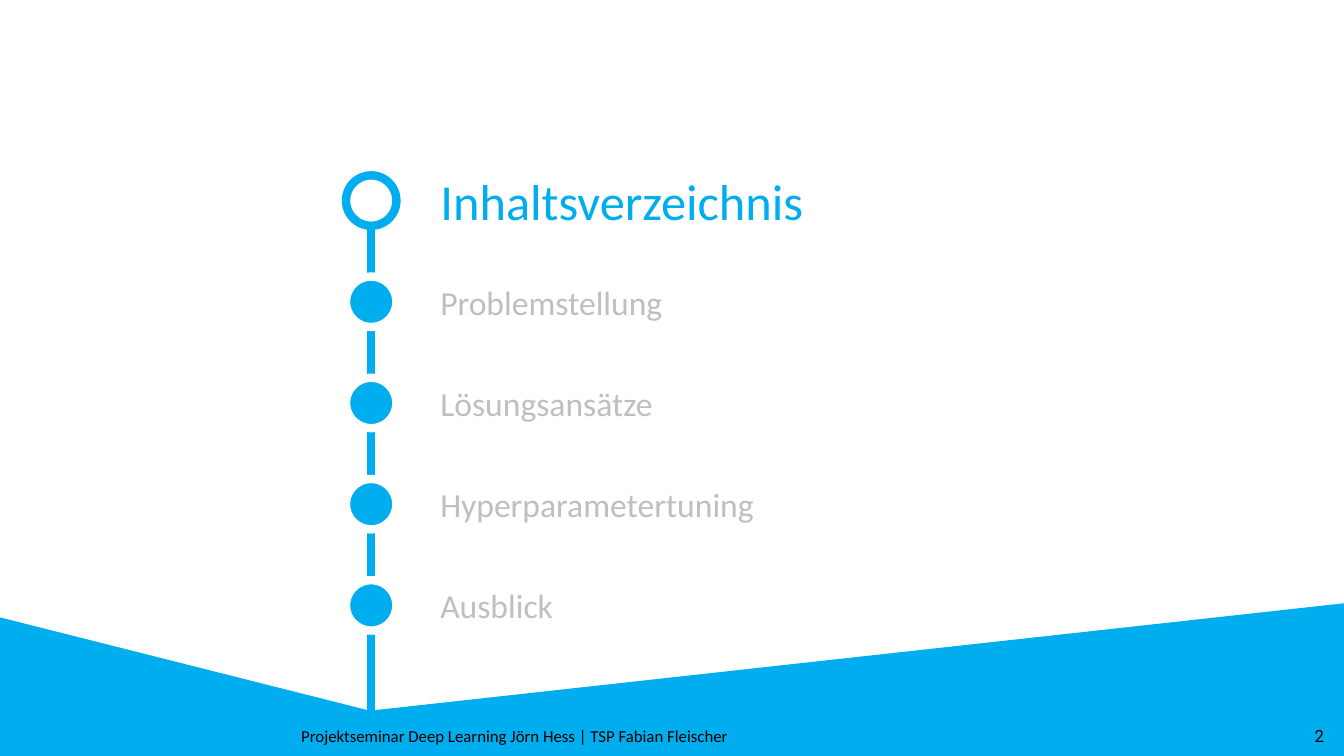
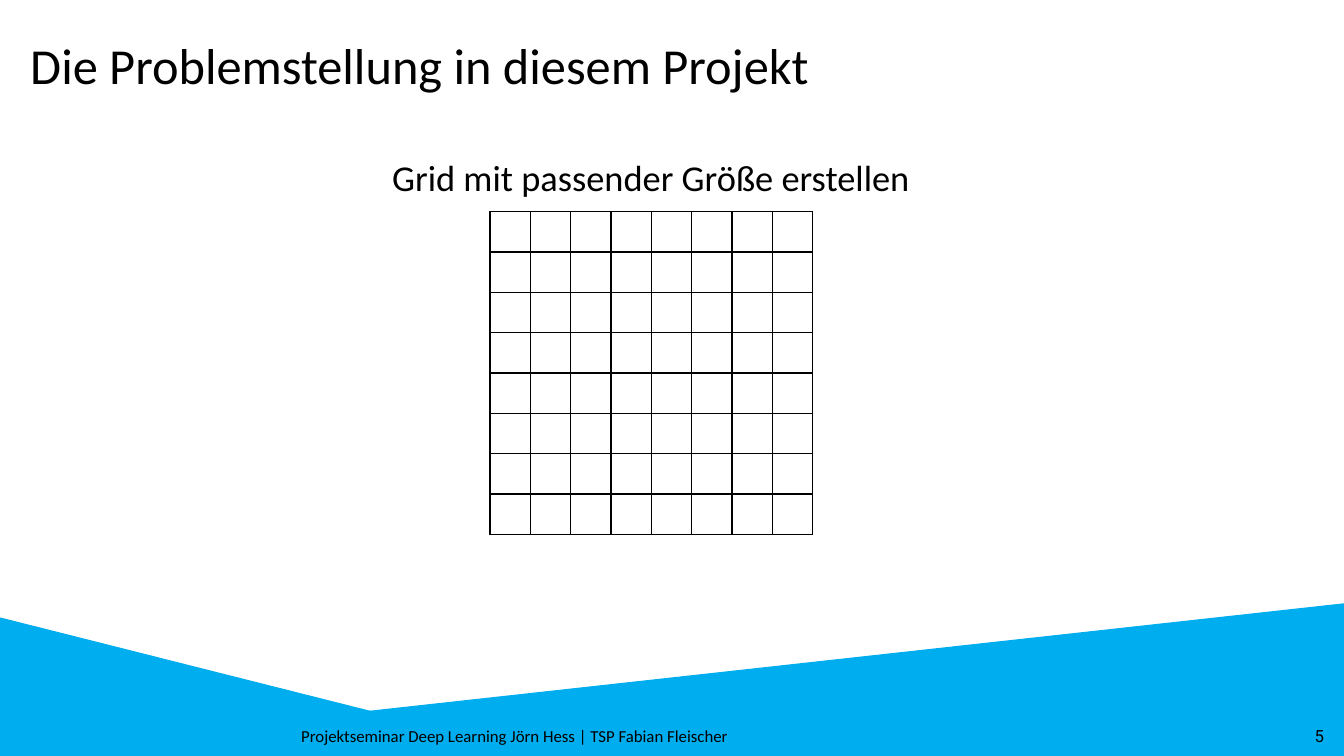
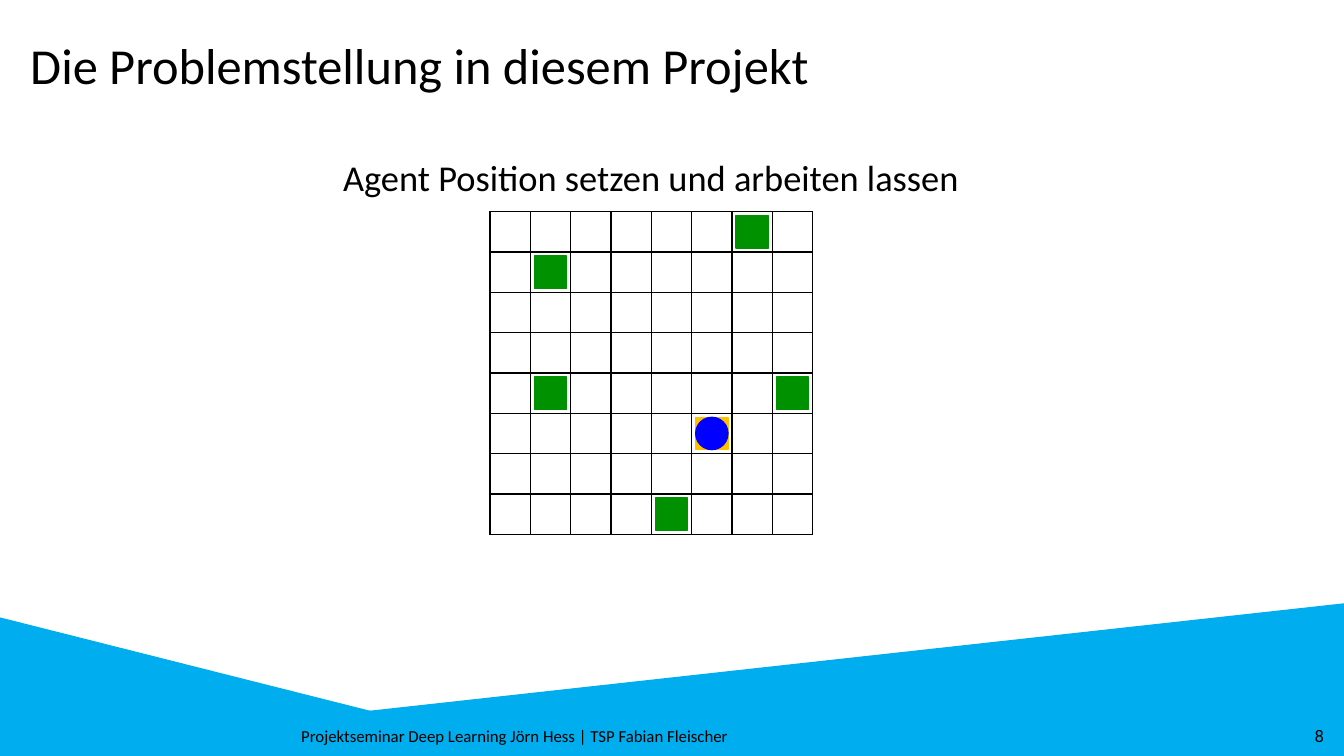
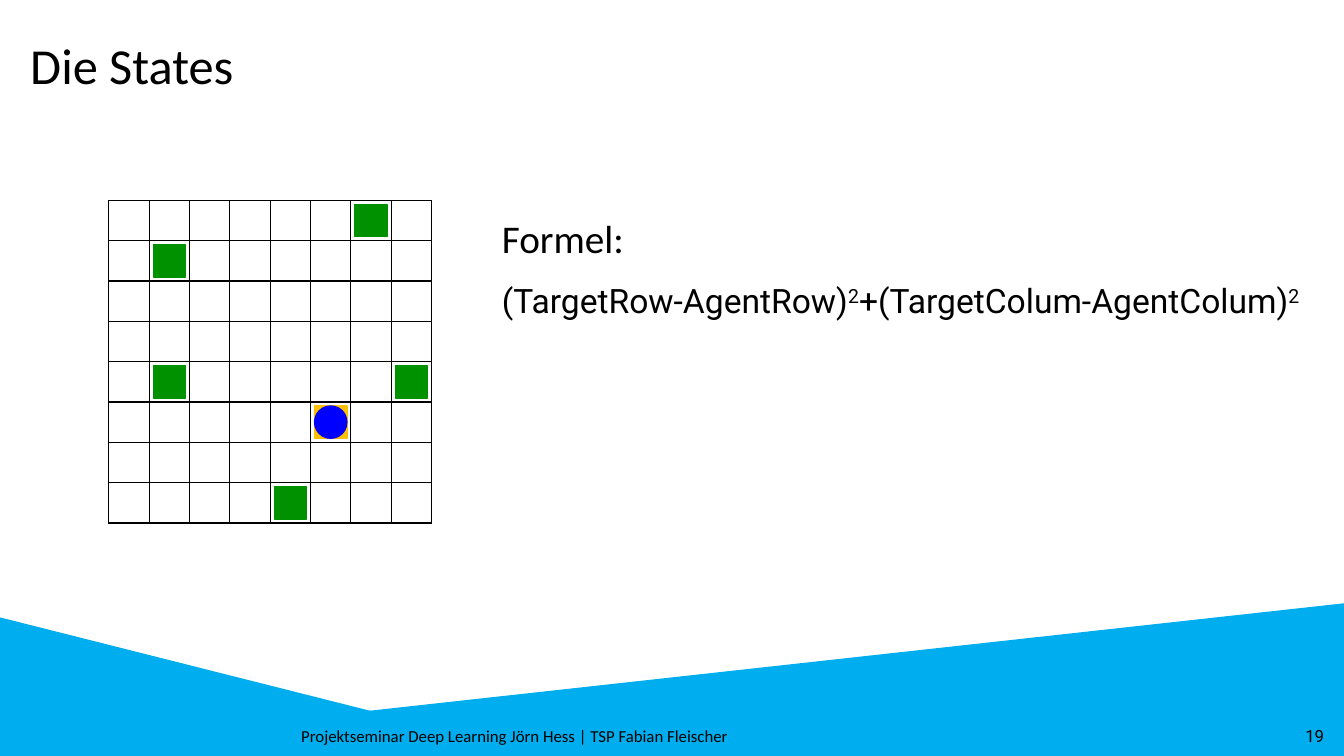
from lxml import etree
from pptx import Presentation
from pptx.dml.color import RGBColor
from pptx.enum.shapes import MSO_CONNECTOR, MSO_SHAPE
from pptx.enum.text import MSO_ANCHOR, MSO_AUTO_SIZE, PP_ALIGN
from pptx.oxml.ns import qn
from pptx.util import Inches, Pt

RECT, OVAL = MSO_SHAPE.RECTANGLE, MSO_SHAPE.OVAL
TRIANGLE, NODE = MSO_SHAPE.RIGHT_TRIANGLE, MSO_SHAPE.FLOWCHART_CONNECTOR
STRAIGHT = MSO_CONNECTOR.STRAIGHT
LEFT, CENTER, RIGHT = PP_ALIGN.LEFT, PP_ALIGN.CENTER, PP_ALIGN.RIGHT
TOP, MIDDLE = MSO_ANCHOR.TOP, MSO_ANCHOR.MIDDLE
NO_AUTOFIT = MSO_AUTO_SIZE.NONE

BLUE, BLACK, WHITE, GRAY = "00ADEE", "000000", "FFFFFF", "BFBFBF"
GREEN, YELLOW, AGENT_BLUE = "009100", "FFC000", "0000FF"
BODY_FONT, ALT_FONT = "Calibri", "Roboto"

CELL = 0.4
BOARD_SIZE = 8
MARKER = 0.8
TARGETS = [(7, 4), (4, 7), (6, 0), (1, 4), (1, 1)]
AGENT = (5, 5)
FOOTER = "Projektseminar Deep Learning Jörn Hess | TSP Fabian Fleischer"
PROJECT_TITLE = "Die Problemstellung in diesem Projekt"


def grid(*cells):
    return [Inches(count * CELL) for count in cells]


def color(hex_string):
    return RGBColor.from_string(hex_string)


class Deck:
    def __init__(self):
        self.prs = Presentation()
        self.prs.slide_width, self.prs.slide_height = Inches(13.33), Inches(7.5)
        self.slide = None

    def new_slide(self, title, number, at=(0.5, 0.72, 29, 1.78), title_color=BLACK):
        self.slide = self.prs.slides.add_slide(self.prs.slide_layouts[5])
        self.shape(RECT, (0, 17.77, 33.33, 0.98), BLUE)
        self.shape(TRIANGLE, (0, 15.33, 9.63, 2.43), BLUE)
        slope = self.shape(TRIANGLE, (8.13, 14.98, 25.2, 2.78), BLUE)
        slope._element.spPr.get_or_add_xfrm().set("flipH", "1")
        self.text(FOOTER, (0, 17.75, 25.53, 1), 12, align=CENTER, anchor=MIDDLE)
        self.text(str(number), (25.58, 17.75, 7.5, 1), 12, font=ALT_FONT,
                  align=RIGHT, anchor=MIDDLE)
        heading = self.slide.shapes.title
        heading.left, heading.top, heading.width, heading.height = grid(*at)
        self.fill_text(heading.text_frame, [(title, False)], 36, title_color)

    def fill_text(self, frame, parts, size, text_color=BLACK, font=BODY_FONT,
                  align=LEFT, anchor=TOP, wrap=True):
        frame.word_wrap = wrap
        frame.auto_size = NO_AUTOFIT
        frame.vertical_anchor = anchor
        paragraph = frame.paragraphs[0]
        paragraph.alignment = align
        paragraph.font.size = Pt(size)
        paragraph.font.name = font
        paragraph.font.color.rgb = color(text_color)
        for content, raised in parts:
            run = paragraph.add_run()
            run.text = content
            if raised:
                run._r.get_or_add_rPr().set("baseline", "30000")

    def text(self, content, at, size, **style):
        parts = [(content, False)] if isinstance(content, str) else content
        box = self.slide.shapes.add_textbox(*grid(*at))
        self.fill_text(box.text_frame, parts, size, **style)

    def shape(self, kind, at, fill, line=None, width=1):
        shape = self.slide.shapes.add_shape(kind, *grid(*at))
        shape.shadow.inherit = False
        shape.fill.solid()
        shape.fill.fore_color.rgb = color(fill)
        shape.line.color.rgb = color(line or fill)
        shape.line.width = Pt(width)
        return shape

    def line(self, start, end, line_color, width):
        line = self.slide.shapes.add_connector(STRAIGHT, *grid(*start, *end))
        line.line.color.rgb = color(line_color)
        line.line.width = Pt(width)
        etree.SubElement(line._element.spPr, qn("a:effectLst"))

    def timeline(self, entries, left, top, pitch, node):
        middle = left + node / 2
        self.line((middle, top + node), (middle, 18.08), BLUE, 6)
        self.shape(NODE, (left, top, node, node), WHITE, BLUE, 6)
        for index, entry in enumerate(entries, 1):
            y = top + index * pitch
            self.shape(NODE, (left, y, node, node), BLUE, WHITE, 6)
            self.text(entry, (10.67, y, 16.7, node), 24, text_color=GRAY)

    def border(self, cell):
        properties = cell._tc.get_or_add_tcPr()
        for side in ("a:lnL", "a:lnR", "a:lnT", "a:lnB"):
            edge = etree.SubElement(properties, qn(side), w=str(Pt(1)))
            fill = etree.SubElement(edge, qn("a:solidFill"))
            etree.SubElement(fill, qn("a:srgbClr"), val=BLACK)

    def board(self, left, top):
        frame = self.slide.shapes.add_table(
            BOARD_SIZE, BOARD_SIZE, *grid(left, top, BOARD_SIZE, BOARD_SIZE))
        table = frame.table
        table.first_row = table.horz_banding = False
        for cell in table.iter_cells():
            cell.margin_left = cell.margin_right = 0
            cell.margin_top = cell.margin_bottom = 0
            self.border(cell)
            cell.fill.solid()
            cell.fill.fore_color.rgb = color(WHITE)

    def markers(self, left, top):
        pieces = [(RECT, target, GREEN) for target in TARGETS]
        pieces += [(RECT, AGENT, YELLOW), (OVAL, AGENT, AGENT_BLUE)]
        inset = (1 - MARKER) / 2
        for kind, (column, row), fill in pieces:
            at = (left + column + inset, top + row + inset, MARKER, MARKER)
            self.shape(kind, at, fill)

    def captioned_board(self, caption, left=12.15, top=5.25):
        width = 16
        self.board(left, top)
        self.text(caption, (left + BOARD_SIZE / 2 - width / 2, 3.73, width, 1.35),
                  26, align=CENTER, wrap=False)
        return left, top


def main():
    deck = Deck()

    deck.new_slide("Inhaltsverzeichnis", 2, (10.67, 4.1, 16.7, 1.78), BLUE)
    deck.timeline(["Problemstellung", "Lösungsansätze", "Hyperparametertuning",
                   "Ausblick"], left=8.58, top=4.35, pitch=2.51, node=1.25)

    deck.new_slide(PROJECT_TITLE, 5)
    deck.captioned_board("Grid mit passender Größe erstellen")

    deck.new_slide(PROJECT_TITLE, 8)
    corner = deck.captioned_board("Agent Position setzen und arbeiten lassen")
    deck.markers(*corner)

    deck.new_slide("Die States", 19)
    corner = (2.7, 4.97)
    deck.board(*corner)
    deck.markers(*corner)
    deck.text("Formel:", (12.2, 5.2, 3.55, 1.43), 28, wrap=False)
    formula = [("(TargetRow-AgentRow)", False), ("2", True),
               ("+(TargetColum-AgentColum)", False), ("2", True)]
    deck.text(formula, (12.2, 6.83, 20.63, 1.25), 24, font=ALT_FONT, wrap=False)

    deck.prs.save("out.pptx")


if __name__ == "__main__":
    main()
